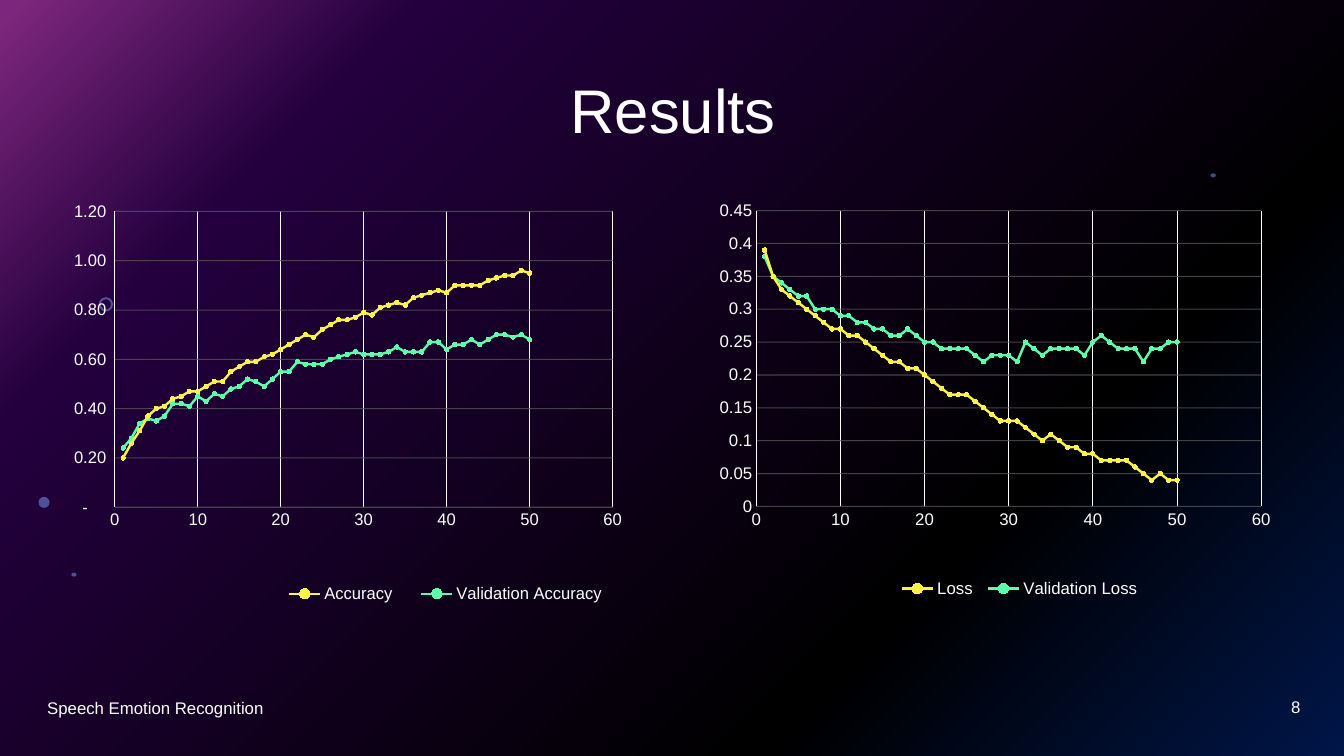
from dataclasses import dataclass
from lxml.etree import SubElement
from pptx import Presentation
from pptx.chart.data import XyChartData
from pptx.dml.color import RGBColor
from pptx.enum.chart import XL_CHART_TYPE, XL_LEGEND_POSITION, XL_MARKER_STYLE, XL_TICK_MARK
from pptx.enum.shapes import MSO_SHAPE
from pptx.enum.text import MSO_ANCHOR, PP_ALIGN
from pptx.oxml import parse_xml
from pptx.oxml.ns import nsdecls, qn
from pptx.util import Cm, Pt


@dataclass(frozen=True)
class Theme:
    font: str = "Arial"
    white: str = "FFFFFF"
    black: str = "000000"
    grid: str = "595959"
    dot: str = "83A7FD"
    lines: tuple = (("FAF24C", "FCF794"), ("5EFCAC", "9EFDCD"))
    stops: tuple = ((0, "022D94"), (28, "000000"), (80, "4A027F"), (99, "FC4EFB"))
    head: int = 44
    text: int = 12
    thin: float = 0.75
    thick: float = 1.75


@dataclass
class Panel:
    names: tuple
    values: tuple
    top: float
    step: float
    format: str
    legend: tuple


theme = Theme()

ACCURACY = Panel(
    ("Accuracy", "Validation Accuracy"),
    ((0.2, 0.26, 0.31, 0.37, 0.4, 0.41, 0.44, 0.45, 0.47, 0.47, 0.49, 0.51, 0.51, 0.55, 0.57, 0.59, 0.59,
      0.61, 0.62, 0.64, 0.66, 0.68, 0.7, 0.69, 0.72, 0.74, 0.76, 0.76, 0.77, 0.79, 0.78, 0.81, 0.82, 0.83,
      0.82, 0.85, 0.86, 0.87, 0.88, 0.87, 0.9, 0.9, 0.9, 0.9, 0.92, 0.93, 0.94, 0.94, 0.96, 0.95),
     (0.24, 0.28, 0.34, 0.36, 0.35, 0.37, 0.42, 0.42, 0.41, 0.45, 0.43, 0.46, 0.45, 0.48, 0.49, 0.52, 0.51,
      0.49, 0.52, 0.55, 0.55, 0.59, 0.58, 0.58, 0.58, 0.6, 0.61, 0.62, 0.63, 0.62, 0.62, 0.62, 0.63, 0.65,
      0.63, 0.63, 0.63, 0.67, 0.67, 0.64, 0.66, 0.66, 0.68, 0.66, 0.68, 0.7, 0.7, 0.69, 0.7, 0.68)),
    1.2, 0.2, '_(* #,##0.00_);_(* \\(#,##0.00\\);_(* "-"??_);_(@_)', (0.33, 0.87, 0.63, 0.08))

LOSS = Panel(
    ("Loss", "Validation Loss"),
    ((0.39, 0.35, 0.33, 0.32, 0.31, 0.3, 0.29, 0.28, 0.27, 0.27, 0.26, 0.26, 0.25, 0.24, 0.23, 0.22, 0.22,
      0.21, 0.21, 0.2, 0.19, 0.18, 0.17, 0.17, 0.17, 0.16, 0.15, 0.14, 0.13, 0.13, 0.13, 0.12, 0.11, 0.1,
      0.11, 0.1, 0.09, 0.09, 0.08, 0.08, 0.07, 0.07, 0.07, 0.07, 0.06, 0.05, 0.04, 0.05, 0.04, 0.04),
     (0.38, 0.35, 0.34, 0.33, 0.32, 0.32, 0.3, 0.3, 0.3, 0.29, 0.29, 0.28, 0.28, 0.27, 0.27, 0.26, 0.26,
      0.27, 0.26, 0.25, 0.25, 0.24, 0.24, 0.24, 0.24, 0.23, 0.22, 0.23, 0.23, 0.23, 0.22, 0.25, 0.24, 0.23,
      0.24, 0.24, 0.24, 0.24, 0.23, 0.25, 0.26, 0.25, 0.24, 0.24, 0.24, 0.22, 0.24, 0.24, 0.25, 0.25)),
    0.45, 0.05, "General", (0.3, 0.86, 0.44, 0.08))


def paint(fill, tint, alpha=None):
    fill.solid()
    fill.fore_color.rgb = RGBColor.from_string(tint)
    if alpha:
        color = fill._xPr.find(".//" + qn("a:srgbClr"))
        SubElement(color, qn("a:alpha")).set("val", str(alpha * 1000))


def stroke(line, tint, width, alpha=None):
    line.width = Pt(width)
    paint(line.fill, tint, alpha)


def style(font, size):
    font.name = theme.font
    font.size = Pt(size)
    font.color.rgb = RGBColor.from_string(theme.white)


def write(shape, words, size, align):
    frame = shape.text_frame
    frame.word_wrap = True
    frame.vertical_anchor = MSO_ANCHOR.MIDDLE
    para = frame.paragraphs[0]
    para.alignment = align
    run = para.add_run()
    run.text = words
    style(run.font, size)
    return para


def backdrop(slide):
    slide.background.fill.gradient()
    stops = "".join(
        f'<a:gs pos="{pos * 1000}"><a:srgbClr val="{tint}"/></a:gs>' for pos, tint in theme.stops)
    grad = parse_xml(
        f'<a:gradFill {nsdecls("a")} rotWithShape="1"><a:gsLst>{stops}</a:gsLst>'
        '<a:path path="circle"><a:fillToRect l="100000" t="100000"/></a:path>'
        '<a:tileRect r="-100000" b="-100000"/></a:gradFill>')
    old = slide._element.find(".//" + qn("a:gradFill"))
    old.getparent().replace(old, grad)


def decor(slide, box):
    left, top, width, height = box
    parts = (
        (MSO_SHAPE.RECTANGLE, 0, 0, width, height, theme.black, 50),
        (MSO_SHAPE.DONUT, 2.49, 7.49, 0.36, 0.36, theme.dot, 49),
        (MSO_SHAPE.OVAL, 0.97, 12.52, 0.28, 0.28, theme.dot, 49),
        (MSO_SHAPE.OVAL, 1.8, 14.43, 0.13, 0.1, theme.dot, 49),
        (MSO_SHAPE.OVAL, 30.51, 4.37, 0.13, 0.1, theme.dot, 49),
    )
    for kind, x, y, wide, high, tint, alpha in parts:
        shape = slide.shapes.add_shape(kind, Cm(left + x), Cm(top + y), Cm(wide), Cm(high))
        shape.shadow.inherit = False
        shape.line.fill.background()
        paint(shape.fill, tint, alpha)
        if kind == MSO_SHAPE.DONUT:
            shape.adjustments[0] = 0.14


def heading(slide, box, words):
    title = slide.shapes.title
    slide.shapes._spTree.append(title._element)
    title.left, title.top, title.width, title.height = map(Cm, box)
    write(title, words, theme.head, PP_ALIGN.CENTER).line_spacing = 0.9


def label(slide, box, words, align):
    write(slide.shapes.add_textbox(*map(Cm, box)), words, theme.text, align)


def layout(box, inner=False):
    target = '<c:layoutTarget val="inner"/>' if inner else ""
    modes = '<c:xMode val="edge"/><c:yMode val="edge"/>'
    sizes = "".join(f'<c:{key} val="{val}"/>' for key, val in zip("xywh", box))
    return parse_xml(
        f'<c:layout {nsdecls("c")}><c:manualLayout>{target}{modes}{sizes}</c:manualLayout></c:layout>')


def scale(axis, top, step, code):
    axis.minimum_scale, axis.maximum_scale, axis.major_unit = 0, top, step
    axis.major_tick_mark = axis.minor_tick_mark = XL_TICK_MARK.NONE
    axis.has_major_gridlines = True
    axis.tick_labels.number_format = code
    axis.tick_labels.number_format_is_linked = False
    style(axis.tick_labels.font, theme.text)


def graph(slide, box, panel):
    data = XyChartData()
    for name, values in zip(panel.names, panel.values):
        series = data.add_series(name)
        for epoch, value in enumerate(values, 1):
            series.add_data_point(epoch, value)
    chart = slide.shapes.add_chart(XL_CHART_TYPE.XY_SCATTER_SMOOTH, *map(Cm, box), data).chart
    chart.has_title = False
    style(chart.font, theme.text)
    plot = chart.plots[0]
    plot.vary_by_categories = False
    for series, (tint, pale) in zip(plot.series, theme.lines):
        series.smooth = True
        stroke(series.format.line, tint, theme.thick)
        series.marker.style = XL_MARKER_STYLE.CIRCLE
        series.marker.size = 3
        paint(series.marker.format.fill, pale)
        stroke(series.marker.format.line, tint, theme.thin)
    across, up = chart.category_axis, chart.value_axis
    scale(across, 60, 10, "General")
    scale(up, panel.top, panel.step, panel.format)
    across.format.line.fill.background()
    stroke(across.major_gridlines.format.line, theme.white, theme.thin)
    stroke(up.format.line, theme.white, theme.thin)
    stroke(up.major_gridlines.format.line, theme.grid, theme.thin, 75)
    chart.has_legend = True
    legend = chart.legend
    legend.position = XL_LEGEND_POSITION.TOP
    legend.include_in_layout = False
    style(legend.font, theme.text)
    area = chart._chartSpace.chart.plotArea
    for old in area.findall(qn("c:layout")):
        area.remove(old)
    area.insert(0, layout((0.065, 0.03, 0.873, 0.681), True))
    for old in legend._element.findall(qn("c:layout")):
        legend._element.remove(old)
    legend._element.find(qn("c:legendPos")).addnext(layout(panel.legend))


def results(deck, box):
    left, top, width, height = box
    slide = deck.slides.add_slide(deck.slide_layouts[5])
    backdrop(slide)
    decor(slide, box)
    graph(slide, (left + 1.75, top + 5, 14.58, 10.95), ACCURACY)
    heading(slide, (left + 2.36, top + 1.02, 29.21, 3.68), "Results")
    label(slide, (left + 0.94, top + 17.32, 11.43, 1.02), "Speech Emotion Recognition", PP_ALIGN.LEFT)
    label(slide, (left + 25.4, top + 17.3, 7.62, 1.02), "8", PP_ALIGN.RIGHT)
    graph(slide, (left + 18.11, top + 4.98, 14.58, 10.95), LOSS)


def main():
    deck = Presentation()
    wide, high = 33.87, 19.05
    deck.slide_width, deck.slide_height = Cm(wide), Cm(high)
    results(deck, (0, 0, wide, high))
    deck.save("out.pptx")


if __name__ == "__main__":
    main()
